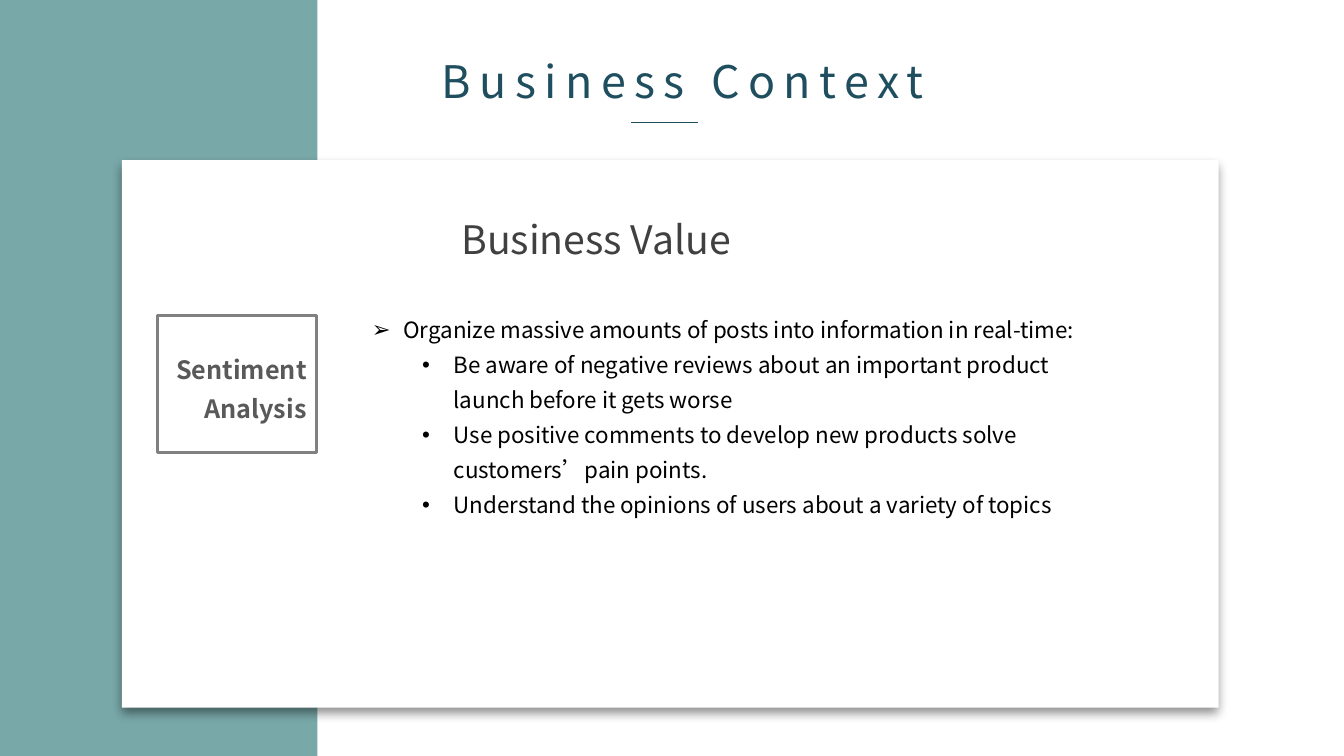
from dataclasses import dataclass, field
from typing import Any

from lxml import etree
from pptx import Presentation
from pptx.dml.color import RGBColor
from pptx.enum import shapes, text
from pptx.oxml import ns
from pptx.util import Pt

NAVY = RGBColor(0x1F, 0x4E, 0x5F)
TEAL = RGBColor(0x79, 0xA8, 0xA9)
WHITE = RGBColor(0xFF, 0xFF, 0xFF)
BLACK = RGBColor(0x00, 0x00, 0x00)
CHARCOAL = RGBColor(0x40, 0x40, 0x40)
GRAY = RGBColor(0x59, 0x59, 0x59)
BORDER = RGBColor(0x80, 0x80, 0x80)
FONT = "Noto Sans CJK SC"
INDENT = 22.5


@dataclass
class Frame:
    left: float
    top: float
    width: float
    height: float

    def lengths(self) -> tuple:
        return tuple(Pt(n) for n in (self.left, self.top, self.width, self.height))


@dataclass
class Line:
    words: str
    size: float
    color: RGBColor
    layout: dict[str, Any] = field(default_factory=dict)
    bold: bool = False
    tracking: float = 0
    bullet: str = ""
    margin: float = 0


def add_child(parent: Any, tag: str, **values: Any) -> Any:
    names = {name: str(value) for name, value in values.items()}
    return etree.SubElement(parent, ns.qn(tag), names)


def add_bullet(para: Any, line: Line) -> None:
    properties = para._p.get_or_add_pPr()
    properties.set("marL", str(Pt(line.margin)))
    properties.set("indent", str(-Pt(INDENT)))
    add_child(properties, "a:buFont", typeface="Arial")
    add_child(properties, "a:buChar", char=line.bullet)


def write(frame: Any, lines: list[Line]) -> None:
    frame.word_wrap = True
    for index, line in enumerate(lines):
        para = frame.add_paragraph() if index else frame.paragraphs[0]
        if line.bullet:
            add_bullet(para, line)
        for name, value in line.layout.items():
            setattr(para, name, value)
        span = para.add_run()
        span.text = line.words
        style = {"name": FONT, "size": Pt(line.size), "bold": line.bold}
        for name, value in style.items():
            setattr(span.font, name, value)
        span.font.color.rgb = line.color
        properties = span._r.get_or_add_rPr()
        if line.tracking:
            properties.set("spc", str(int(line.tracking * 100)))
        add_child(properties, "a:ea", typeface=FONT)


def add_text(page: Any, frame: Frame, lines: list[Line]) -> None:
    box = page.shapes.add_textbox(*frame.lengths())
    write(box.text_frame, lines)
    box.text_frame.auto_size = text.MSO_AUTO_SIZE.SHAPE_TO_FIT_TEXT


def add_panel(page: Any, frame: Frame, fill: RGBColor | None = None) -> Any:
    panel = page.shapes.add_shape(shapes.MSO_SHAPE.RECTANGLE, *frame.lengths())
    panel.shadow.inherit = False
    panel.line.fill.background()
    if fill is None:
        panel.fill.background()
    else:
        panel.fill.solid()
        panel.fill.fore_color.rgb = fill
    return panel


def add_shadow(panel: Any) -> None:
    effects = panel._element.spPr.find(ns.qn("a:effectLst"))
    shadow = add_child(effects, "a:outerShdw", blurRad=Pt(7), dist=Pt(4),
                       dir=90 * 60000, algn="t", rotWithShape=0)
    color = add_child(shadow, "a:srgbClr", val=BLACK)
    add_child(color, "a:alpha", val=43000)


def add_rule(page: Any, left: float, right: float, top: float) -> None:
    rule = page.shapes.add_connector(
        shapes.MSO_CONNECTOR.STRAIGHT, Pt(left), Pt(top), Pt(right), Pt(top))
    rule.line.color.rgb = NAVY
    rule.line.width = Pt(0.5)
    add_child(rule._element.spPr, "a:effectLst")


def build_page(page: Any) -> None:
    centered = {"alignment": text.PP_ALIGN.CENTER}
    add_text(page, Frame(280, 34.5, 416, 46),
             [Line("Business Context", 32, NAVY, centered, tracking=6)])
    add_rule(page, 450.7, 498.3, 87.1)
    add_panel(page, Frame(0, 0, 226.8, 540), TEAL)
    add_shadow(add_panel(page, Frame(87.1, 114.5, 783.4, 391), WHITE))
    add_text(page, Frame(219.6, 150.5, 412.6, 41),
             [Line("Business Value", 28, CHARCOAL, centered)])

    topic = add_panel(page, Frame(112.3, 225.4, 113.8, 97.9))
    topic.line.color.rgb = BORDER
    topic.line.width = Pt(2)
    topic.text_frame.vertical_anchor = text.MSO_ANCHOR.MIDDLE
    right = {"alignment": text.PP_ALIGN.RIGHT, "line_spacing": 1.3}
    write(topic.text_frame, [Line("Sentiment Analysis", 18, GRAY, right, bold=True)])

    values = [
        (0, "➢", "Organize massive amounts of posts into information in real-time:"),
        (1, "•", "Be aware of negative reviews about an important product "
                 "launch before it gets worse"),
        (1, "•", "Use positive comments to develop new products solve "
                 "customers’pain points."),
        (1, "•", "Understand the opinions of users about a variety of topics"),
    ]
    add_text(page, Frame(258.5, 216.7, 529.9, 206.6), [
        Line(words, 16, BLACK, {"level": level, "line_spacing": 1.3},
             bullet=bullet, margin=INDENT + 36 * level)
        for level, bullet, words in values
    ])


def main() -> None:
    deck = Presentation()
    deck.slide_width, deck.slide_height = Pt(960), Pt(540)
    build_page(deck.slides.add_slide(deck.slide_layouts[6]))
    deck.save("out.pptx")


if __name__ == "__main__":
    main()
